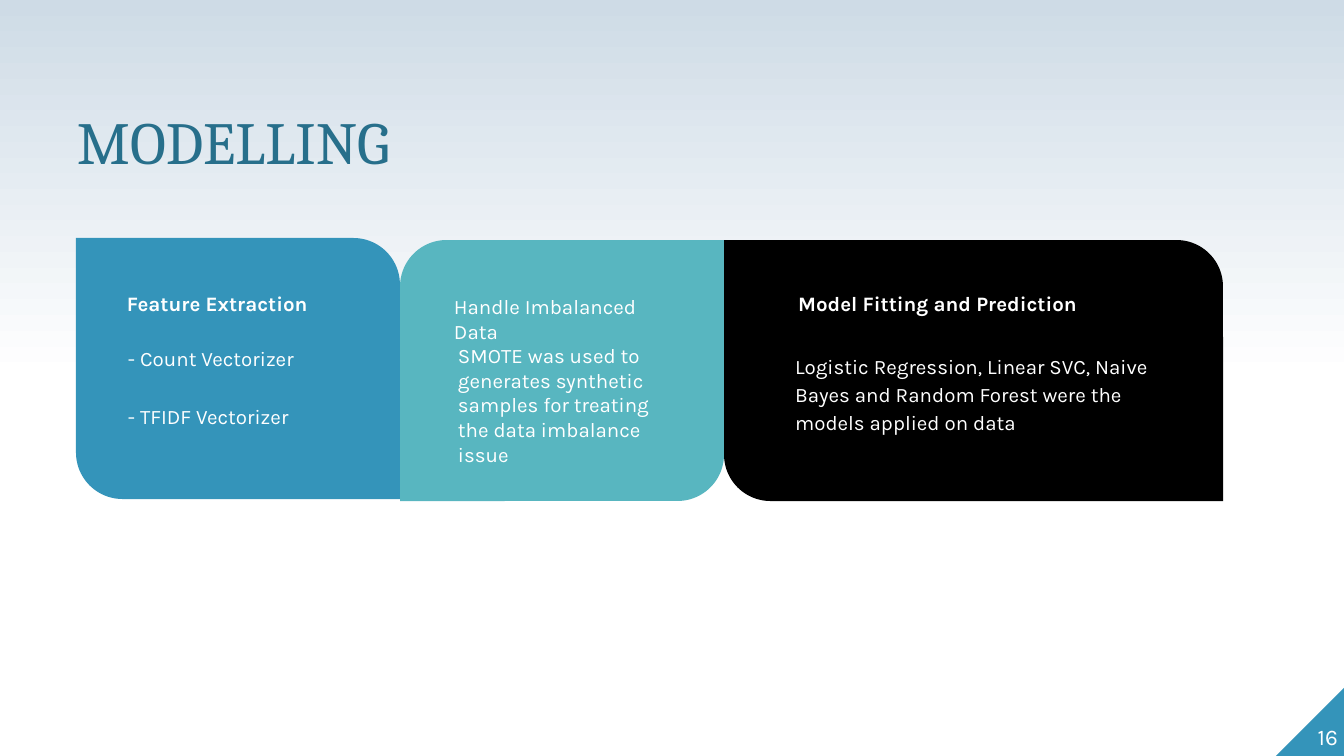
import pptx
import pptx.dml.color
import pptx.enum.shapes
import pptx.enum.text
import pptx.oxml.ns
import pptx.util
from lxml import etree

PX = 914400 / 134.4
HUES = {"white": "FFFFFF", "sky": "CEDBE6", "blue": "3494BA",
        "teal": "58B6C0", "black": "000000", "ink": "276F8B"}
FORMS = pptx.enum.shapes.MSO_SHAPE
ALIGN = pptx.enum.text.PP_ALIGN
ANCHOR = pptx.enum.text.MSO_ANCHOR
FIT = pptx.enum.text.MSO_AUTO_SIZE


def emu(px):
    return pptx.util.Emu(round(px * PX))


def hue(name):
    return pptx.dml.color.RGBColor.from_string(HUES[name])


class Deck:
    def __init__(self):
        self.file = pptx.Presentation()
        self.file.slide_width, self.file.slide_height = emu(1344), emu(756)
        self.slide = self.file.slides.add_slide(self.file.slide_layouts[1])

    def back(self):
        fill = self.slide.background.fill
        fill.gradient()
        fill.gradient_angle = 90
        for stop, pos, name in zip(fill.gradient_stops, (0.5, 1), ("white", "sky")):
            stop.position = pos
            stop.color.rgb = hue(name)

    def shape(self, form, box, fill, adj=(), turn=0):
        item = self.slide.shapes.add_shape(form, *map(emu, box))
        item.shadow.inherit = False
        item.fill.solid()
        item.fill.fore_color.rgb = hue(fill)
        item.line.fill.background()
        for i, part in enumerate(adj):
            item.adjustments[i] = part
        item.rotation = turn

    def put(self, item, box, lines, size=11, font="Karla", color="white", bold=False,
            inset=13, anchor=ANCHOR.TOP, align=ALIGN.LEFT, space=1.0, after=0):
        item.left, item.top, item.width, item.height = map(emu, box)
        frame = item.text_frame
        frame.word_wrap, frame.auto_size = True, FIT.NONE
        frame.vertical_anchor = anchor
        frame.margin_left = frame.margin_right = emu(inset)
        frame.margin_top = frame.margin_bottom = emu(inset)
        for i, line in enumerate(lines):
            para = frame.add_paragraph() if i else frame.paragraphs[0]
            para.alignment, para.line_spacing = align, space
            para.space_before, para.space_after = 0, pptx.util.Pt(after)
            run = para.add_run()
            run.text = line
            run.font.name, run.font.size = font, pptx.util.Pt(size)
            run.font.bold, run.font.color.rgb = bold, hue(color)

    def title(self, box, line):
        self.put(self.slide.shapes.title, box, [line], size=32, font="Cambria",
                 color="ink", inset=0, anchor=ANCHOR.BOTTOM, space=0.8)

    def list(self, box, lines):
        item = self.slide.placeholders[1]
        self.put(item, box, lines, space=1.15, after=16)
        # The dashes are typed, so bullets and indents go
        for para in item.text_frame.paragraphs:
            props = para._p.get_or_add_pPr()
            props.set("marL", "0")
            props.set("indent", "0")
            etree.SubElement(props, pptx.oxml.ns.qn("a:buNone"))
        # Bring the list in front of its card
        self.slide.shapes._spTree.append(item._element)

    def text(self, box, line, **style):
        item = self.slide.shapes.add_textbox(0, 0, 0, 0)
        self.put(item, box, [line], **style)


def main():
    deck = Deck()
    deck.back()

    # Corner with page number
    deck.shape(FORMS.RIGHT_TRIANGLE, (1276, 687, 69, 69), "blue", turn=270)
    deck.text((1271, 681, 67, 69), "16", size=12, inset=0,
              anchor=ANCHOR.BOTTOM, align=ALIGN.RIGHT)

    deck.title((77, 102, 581, 74), "MODELLING")

    # Cards: side by side, rounded corners alternate
    rise, fall = (0, 0.178), (0.178, 0)
    left = 76
    for top, wide, fill, adj in ((238, 324, "blue", rise), (240, 324, "teal", fall),
                                 (240, 499, "black", rise)):
        deck.shape(FORMS.ROUND_2_DIAG_RECTANGLE, (left, top, wide, 261), fill, adj)
        left += wide

    # Features
    deck.text((114, 278, 242, 50), "Feature Extraction", bold=True)
    deck.list((115, 329, 242, 110), ["- Count Vectorizer", "- TFIDF Vectorizer"])

    # Imbalance
    deck.text((441, 281, 242, 77), "Handle Imbalanced Data")
    deck.text((445, 330, 242, 66), "SMOTE was used to generates synthetic samples "
              "for treating the data imbalance issue")

    # Models
    deck.text((785, 278, 402, 77), "Model Fitting and Prediction", bold=True)
    deck.text((782, 337, 410, 114), "Logistic Regression, Linear SVC, Naive Bayes and "
              "Random Forest were the models applied on data", space=1.15, after=16)

    deck.file.save("out.pptx")


if __name__ == "__main__":
    main()
